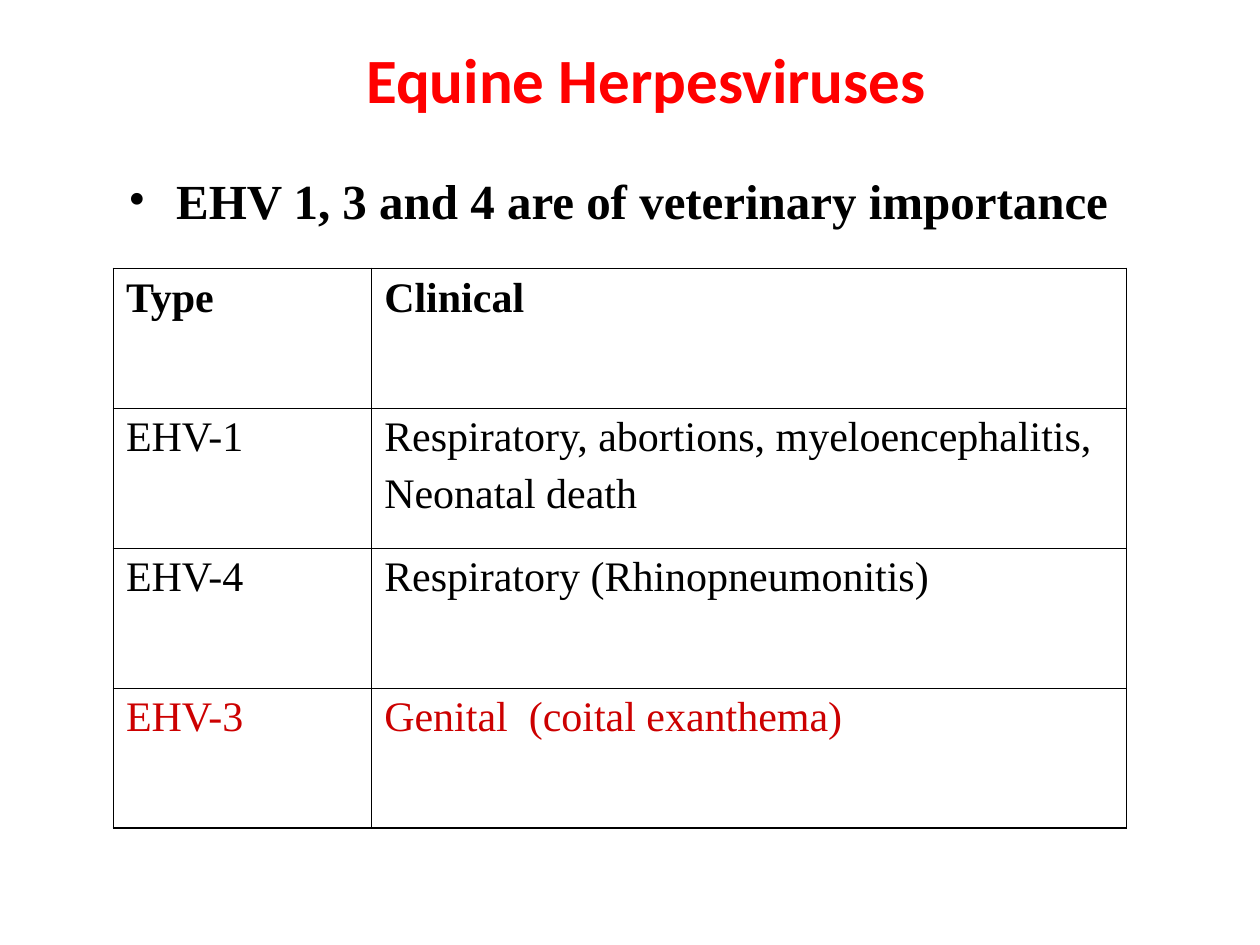
"""Build the Equine Herpesviruses slide with its table of virus types."""
import lxml.etree
import pptx
import pptx.dml.color
import pptx.enum.text
import pptx.oxml.ns
import pptx.util
from pptx.util import Inches

TITLE = "Equine Herpesviruses"
BULLET = "EHV 1, 3 and 4 are of veterinary importance"
TABLE_ROWS = [
    ("header", ["Type"], ["Clinical"]),
    ("body", ["EHV-1"], ["Respiratory, abortions, myeloencephalitis,", "Neonatal death"]),
    ("body", ["EHV-4"], ["Respiratory (Rhinopneumonitis)"]),
    ("accent", ["EHV-3"], ["Genital  (coital exanthema)"]),
]
COLUMN_WIDTHS = [2.05, 5.99]
ROW_HEIGHT = 1.11

THEME = {
    "title": {"font": "Calibri", "size": 36, "color": "FF0000", "bold": True},
    "bullet": {"font": "Times New Roman", "size": 28, "color": "000000", "bold": True},
    "header": {"font": "Times New Roman", "size": 24, "color": "000000", "bold": True},
    "body": {"font": "Times New Roman", "size": 24, "color": "000000", "bold": False},
    "accent": {"font": "Times New Roman", "size": 24, "color": "CC0000", "bold": False},
    "border": {"color": "000000", "outer": 1.08, "inner": 0.45},
}


def add_run(paragraph, text, style_name):
    style = THEME[style_name]
    run = paragraph.add_run()
    run.text = text
    run.font.name = style["font"]
    run.font.size = pptx.util.Pt(style["size"])
    run.font.bold = style["bold"]
    run.font.color.rgb = pptx.dml.color.RGBColor.from_string(style["color"])


def add_text_frame(slide, left, top, width, height):
    text_frame = slide.shapes.add_textbox(
        Inches(left), Inches(top), Inches(width), Inches(height)).text_frame
    text_frame.word_wrap = True
    return text_frame


def add_element(parent, tag, **attributes):
    return lxml.etree.SubElement(parent, pptx.oxml.ns.qn(tag), attributes)


def add_title(slide):
    text_frame = add_text_frame(slide, 0.88, 0, 8.5, 1.25)
    text_frame.vertical_anchor = pptx.enum.text.MSO_ANCHOR.MIDDLE
    paragraph = text_frame.paragraphs[0]
    paragraph.alignment = pptx.enum.text.PP_ALIGN.CENTER
    add_run(paragraph, TITLE, "title")


def add_bullet(slide):
    text_frame = add_text_frame(slide, 0.92, 1.26, 8.58, 0.58)
    text_frame.margin_top = Inches(0.09)
    paragraph = text_frame.paragraphs[0]
    properties = paragraph._p.get_or_add_pPr()
    properties.set("marL", str(Inches(0.38)))
    properties.set("indent", str(-Inches(0.38)))
    color = add_element(properties, "a:buClr")
    add_element(color, "a:srgbClr", val=THEME["bullet"]["color"])
    add_element(properties, "a:buFont", typeface=THEME["bullet"]["font"])
    add_element(properties, "a:buChar", char="•")
    add_run(paragraph, BULLET, "bullet")


def set_borders(cell, outer_sides):
    border = THEME["border"]
    properties = cell._tc.get_or_add_tcPr()
    for side in "LRTB":
        width = pptx.util.Pt(border["outer" if side in outer_sides else "inner"])
        line = add_element(properties, f"a:ln{side}", w=str(width))
        fill = add_element(line, "a:solidFill")
        add_element(fill, "a:srgbClr", val=border["color"])


def fill_cell(cell, lines, style_name):
    for index, text in enumerate(lines):
        text_frame = cell.text_frame
        paragraph = text_frame.add_paragraph() if index else text_frame.paragraphs[0]
        if index:
            paragraph.space_before = pptx.util.Pt(6)
        add_run(paragraph, text, style_name)


def add_virus_table(slide):
    row_count, column_count = len(TABLE_ROWS), len(COLUMN_WIDTHS)
    table = slide.shapes.add_table(
        row_count, column_count, Inches(0.9), Inches(2.13),
        Inches(sum(COLUMN_WIDTHS)), Inches(ROW_HEIGHT * row_count)).table
    table.first_row = False
    table.horz_banding = False
    for column, width in zip(table.columns, COLUMN_WIDTHS):
        column.width = Inches(width)
    for row_index, (style_name, *row_cells) in enumerate(TABLE_ROWS):
        table.rows[row_index].height = Inches(ROW_HEIGHT)
        for column_index, lines in enumerate(row_cells):
            cell = table.cell(row_index, column_index)
            edges = {
                "L": column_index == 0,
                "R": column_index == column_count - 1,
                "T": row_index == 0,
                "B": row_index == row_count - 1,
            }
            set_borders(cell, [side for side, is_outer in edges.items() if is_outer])
            cell.fill.background()
            fill_cell(cell, lines, style_name)


def main():
    presentation = pptx.Presentation()
    presentation.slide_width = Inches(10)
    presentation.slide_height = Inches(7.5)
    slide = presentation.slides.add_slide(presentation.slide_layouts[6])
    add_title(slide)
    add_bullet(slide)
    add_virus_table(slide)
    presentation.save("out.pptx")


if __name__ == "__main__":
    main()
